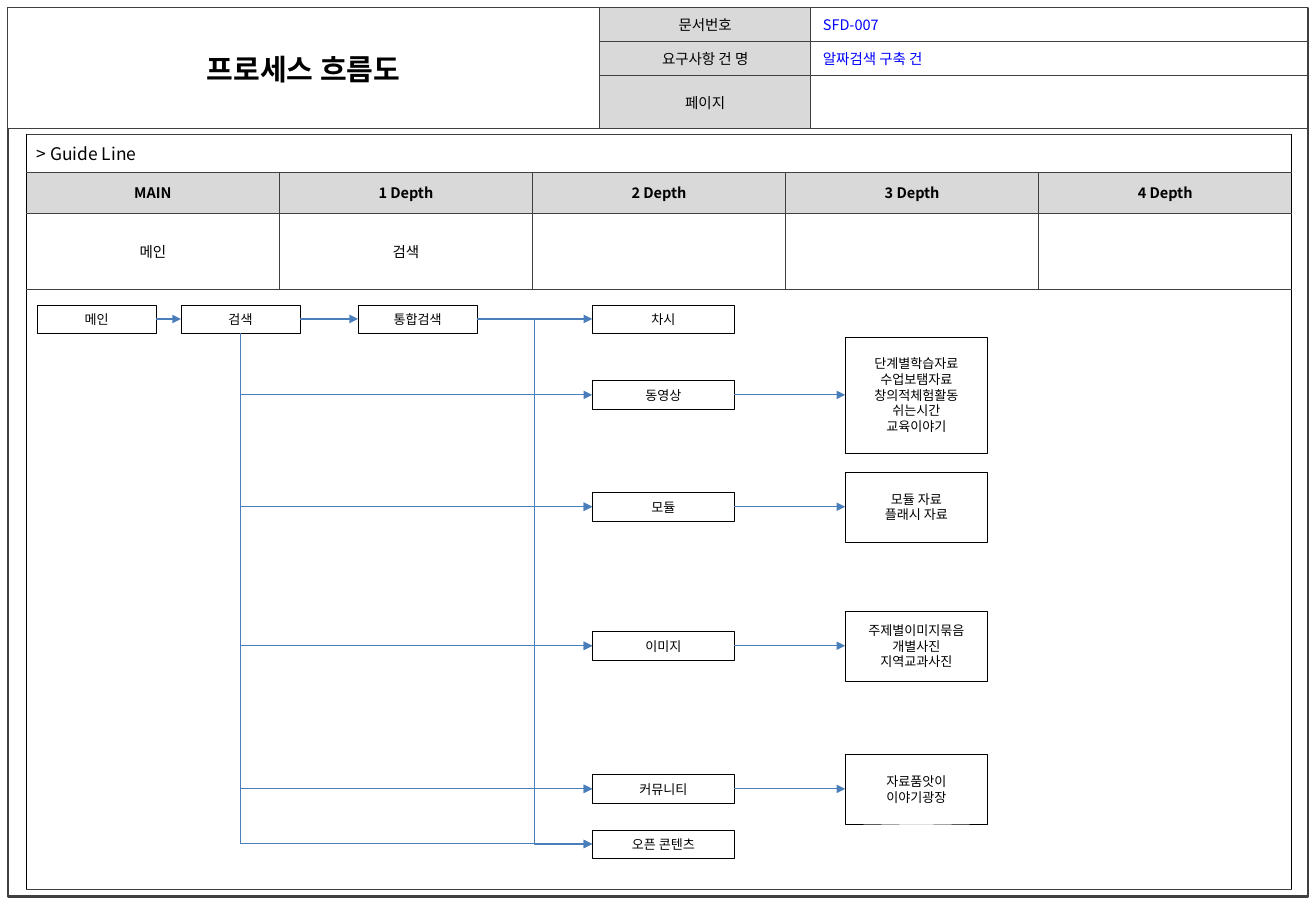
from lxml.etree import SubElement
from pptx import Presentation
from pptx.dml.color import RGBColor
from pptx.enum.shapes import MSO_CONNECTOR as CONN, MSO_SHAPE as SHAPE
from pptx.enum.text import MSO_ANCHOR as ANCHOR, PP_ALIGN as ALIGN
from pptx.oxml.ns import qn
from pptx.util import Pt

BLACK = RGBColor(0x00, 0x00, 0x00)
WHITE = RGBColor(0xFF, 0xFF, 0xFF)
GRAY = RGBColor(0xD9, 0xD9, 0xD9)
DARK = RGBColor(0x40, 0x40, 0x40)
BLUE = RGBColor(0x00, 0x00, 0xFF)
ARROW = RGBColor(0x4A, 0x7E, 0xBB)
FONT = "Noto Sans CJK KR"
TOP, LEFT, BOTTOM, RIGHT = range(4)


def write(tf, text, size=10, color=BLACK, bold=False, align=ALIGN.CENTER,
          spacing=None):
    """Fill a text frame, one paragraph for each line of text."""
    for i, line in enumerate(text.split("\n")):
        p = tf.add_paragraph() if i else tf.paragraphs[0]
        p.alignment = align
        if spacing:
            p.line_spacing = Pt(spacing)
        r = p.add_run()
        r.text = line
        r.font.size, r.font.bold, r.font.name = Pt(size), bold, FONT
        r.font.color.rgb = color
        SubElement(r.font._element, qn("a:ea"), typeface=FONT)


class FlowSlide:
    def __init__(self, prs):
        self.shapes = prs.slides.add_slide(prs.slide_layouts[6]).shapes

    def rect(self, x, y, w, h, line, width, fill=None):
        sp = self.shapes.add_shape(SHAPE.RECTANGLE, Pt(x), Pt(y), Pt(w), Pt(h))
        sp.shadow.inherit = False
        if fill is None:
            sp.fill.background()
        else:
            sp.fill.solid()
            sp.fill.fore_color.rgb = fill
        sp.line.color.rgb = line
        sp.line.width = Pt(width)
        return sp

    def box(self, text, x, mid_y, w, h=19.8):
        """White box centred vertically on mid_y."""
        sp = self.rect(x, mid_y - h / 2, w, h, BLACK, 0.11, WHITE)
        tf = sp.text_frame
        tf.word_wrap = True
        tf.vertical_anchor = ANCHOR.MIDDLE
        write(tf, text, size=9, spacing=10.9)
        return sp

    def table(self, x, y, cols, rows, merges, edge):
        """edge(side, outer) gives the colour and width of a cell border."""
        frame = self.shapes.add_table(len(rows), len(cols), Pt(x), Pt(y),
                                      Pt(sum(cols)), Pt(sum(rows)))
        tbl = frame.table
        tbl.first_row = tbl.horz_banding = False
        for col, w in zip(tbl.columns, cols):
            col.width = Pt(w)
        for row, h in zip(tbl.rows, rows):
            row.height = Pt(h)
        for first, last in merges:
            tbl.cell(*first).merge(tbl.cell(*last))
        for i in range(len(rows)):
            for j in range(len(cols)):
                cell = tbl.cell(i, j)
                origin = cell.is_merge_origin
                end_i = i + (cell.span_height if origin else 1)
                end_j = j + (cell.span_width if origin else 1)
                outer = {"L": j == 0, "R": end_j == len(cols),
                         "T": i == 0, "B": end_i == len(rows)}
                self.borders(cell, outer, edge)
                cell.fill.background()
        return tbl

    def borders(self, cell, outer, edge):
        pr = cell._tc.get_or_add_tcPr()
        for side, is_outer in outer.items():
            color, width = edge(side, is_outer)
            ln = SubElement(pr, qn("a:ln" + side), w=str(Pt(width)))
            SubElement(SubElement(ln, qn("a:solidFill")), qn("a:srgbClr"),
                       val=str(color))

    def cell(self, tbl, i, j, text="", fill=WHITE, margin=7.2, **fmt):
        cell = tbl.cell(i, j)
        cell.fill.solid()
        cell.fill.fore_color.rgb = fill
        cell.vertical_anchor = ANCHOR.MIDDLE
        cell.margin_left = Pt(margin)
        if text:
            write(cell.text_frame, text, **fmt)

    def connector(self, kind, start, site, end=None, arrow=True):
        c = self.shapes.add_connector(kind, 0, 0, 0, 0)
        c.begin_connect(start, site)
        if end is not None:
            c.end_connect(end, LEFT)
        c.line.color.rgb = ARROW
        c.line.width = Pt(0.75)
        if arrow:
            SubElement(c.line._get_or_add_ln(), qn("a:tailEnd"), type="triangle")
        SubElement(c._element.spPr, qn("a:effectLst"))
        return c

    def link(self, start, end):
        self.connector(CONN.STRAIGHT, start, RIGHT, end)

    def branch(self, start, end):
        self.connector(CONN.ELBOW, start, RIGHT, end)

    def drop(self, start, x, y, end=None):
        """Go down from start to y, then right to x."""
        c = self.connector(CONN.ELBOW, start, BOTTOM, end, arrow=end is not None)
        x1, y1 = start.left + start.width // 2, start.top + start.height
        w, h = Pt(y) - y1, Pt(x) - x1  # sizes before the quarter turn
        c.left, c.top = (x1 + Pt(x) - w) // 2, (y1 + Pt(y) - h) // 2
        c.width, c.height = w, h
        xfrm = c._element.spPr.xfrm
        xfrm.attrib.clear()
        xfrm.set("rot", "16200000")
        xfrm.set("flipH", "1")
        c._element.spPr.find(qn("a:prstGeom")).set("prst", "bentConnector2")


def main():
    prs = Presentation()
    prs.slide_width = Pt(907.09)
    prs.slide_height = Pt(623.62)
    s = FlowSlide(prs)

    # Page frame
    s.rect(5.4, 5.4, 896.2, 612.4, DARK, 1.5)

    # Document header
    header = s.table(5.3, 5.3, [408, 145.5, 342.7], [23.4, 23.4, 35.5],
                     [((0, 0), (2, 0))],
                     lambda side, outer: (DARK, 0.75 if outer else 0.45))
    s.cell(header, 0, 0, "프로세스 흐름도", size=20, bold=True)
    for i, label in enumerate(["문서번호", "요구사항 건 명", "페이지"]):
        s.cell(header, i, 1, label, GRAY)
    for i, value in enumerate(["SFD-007", "알짜검색 구축 건"]):
        s.cell(header, i, 2, value, margin=8.5, color=BLUE, align=ALIGN.LEFT)

    # Guide line table
    guide = s.table(18.1, 92.5, [174.45] * 5, [26, 28.4, 52.4, 413.3],
                    [((0, 0), (0, 4)), ((3, 0), (3, 4))],
                    lambda side, outer:
                    (BLACK if outer and side in "LR" else DARK, 0.45))
    s.cell(guide, 0, 0, "> Guide Line", size=12, align=ALIGN.LEFT)
    depths = ["MAIN", "1 Depth", "2 Depth", "3 Depth", "4 Depth"]
    names = ["메인", "검색", "", "", ""]
    for j, (depth, name) in enumerate(zip(depths, names)):
        s.cell(guide, 1, j, depth, GRAY, bold=True)
        s.cell(guide, 2, j, name)
    s.cell(guide, 3, 0)

    # Entry boxes
    first_y = 219.8
    main_box, search, total = [
        s.box(text, x, first_y, 82.2)
        for text, x in [("메인", 25.5), ("검색", 124.7), ("통합검색", 246.8)]]
    s.link(main_box, search)
    s.link(search, total)

    # Result boxes, each with its details and their box height
    results = [
        ("차시", first_y, "", 0),
        ("동영상", 272.1,
         "단계별학습자료\n수업보탬자료\n창의적체험활동\n쉬는시간\n교육이야기", 80),
        ("모듈", 349.2, "모듈 자료\n플래시 자료", 48.4),
        ("이미지", 445, "주제별이미지묶음\n개별사진\n지역교과사진", 48.4),
        ("커뮤니티", 543.6, "자료품앗이\n이야기광장", 48.4),
        ("오픈 콘텐츠", 581.6, "", 0)]
    result_x, detail_x, width = 408.2, 582.6, 98
    trunk_x = 368.6
    for text, y, details, height in results:
        result = s.box(text, result_x, y, width)
        if details:
            s.link(result, s.box(details, detail_x, y, width, height))
        if y == first_y:
            s.link(total, result)
            continue
        s.branch(total, result)
        if text == "동영상":
            s.drop(search, trunk_x, y)
        else:
            s.drop(search, result_x, y, result)

    prs.save("out.pptx")


if __name__ == "__main__":
    main()
